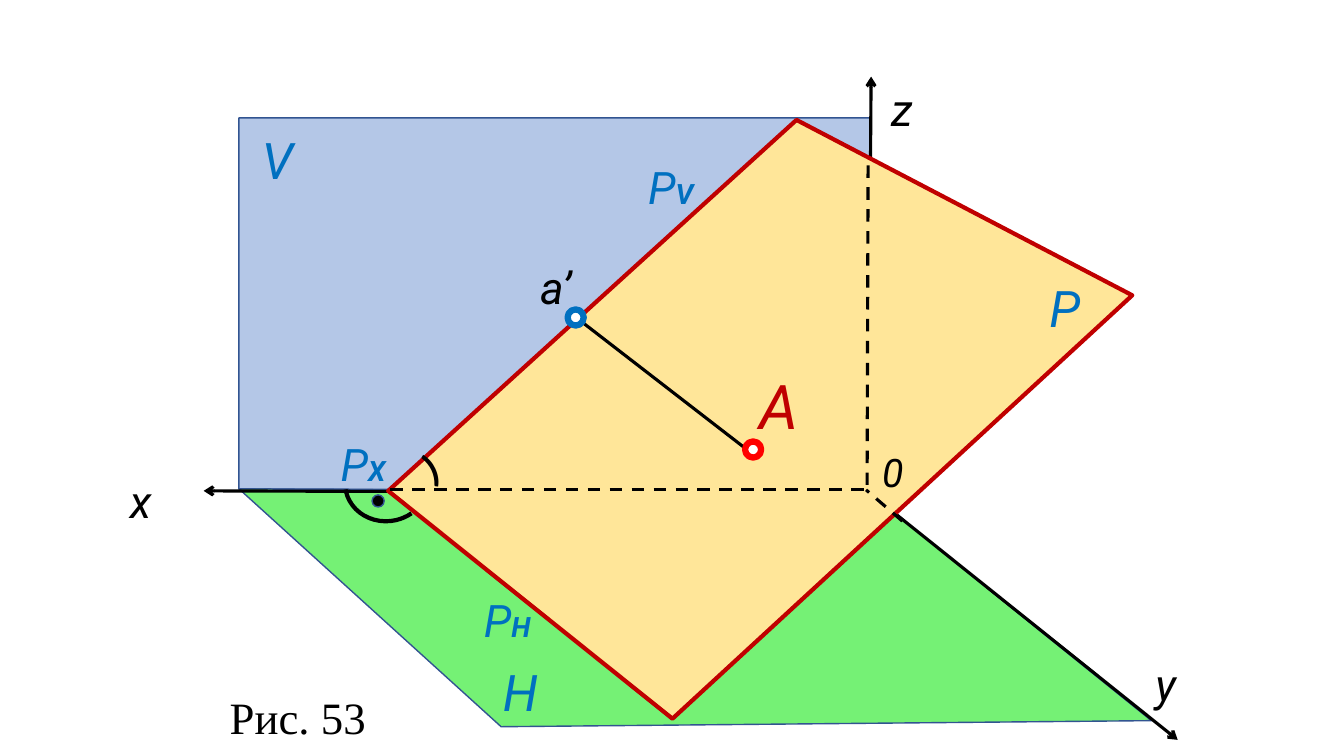
from pptx import Presentation
from pptx.dml.color import RGBColor
from pptx.enum import dml, shapes, text
from pptx.oxml import ns
from pptx.util import Inches, Pt
from lxml import etree

BLACK, BLUE, RED, EDGE = "000000", "0070C0", "C00000", "325491"
ROBOTO = "Roboto"

PLANE_V = ([(2.37, 1.17), (8.63, 1.17), (8.6, 4.87), (2.37, 4.85)], "B4C7E7", EDGE, 1)
PLANE_H = ([(2.37, 4.85), (8.62, 4.89), (11.42, 7.15), (4.97, 7.21)], "75F175", EDGE, 1)
PLANE_P = ([(7.9, 1.19), (11.23, 2.93), (6.67, 7.13), (3.85, 4.87)], "FFE699", RED, 3)

AXES = [
    ((11.68, 7.34), (8.61, 4.88)),
    ((2.02, 4.87), (8.61, 4.89)),
    ((8.64, 0.76), (8.61, 4.88)),
]
HIDDEN_AXES = [
    ((3.87, 4.86), (8.61, 4.86)),
    ((8.95, 5.17), (8.59, 4.86)),
    ((8.61, 1.64), (8.6, 4.81)),
]
PROJECTOR = ((5.74, 3.17), (7.46, 4.5))

POINTS = [
    (5.63, 3.07, 0.16, "FFFFFF", BLUE, 4.5),
    (7.39, 4.38, 0.16, "FFFFFF", "FF0000", 4.5),
    (3.69, 4.91, 0.12, BLACK, EDGE, 1),
]

LABELS = [
    ("x", 1.19, 4.65, 0.41, 0.64, 32, BLACK),
    ("y", 11.36, 6.47, 0.41, 0.64, 32, BLACK),
    ("z", 8.74, 0.76, 0.41, 0.64, 32, BLACK),
    ("0", 8.65, 4.4, 0.89, 0.57, 28, BLACK),
    ("V", 2.5, 1.23, 0.89, 0.71, 36, BLUE),
    ("H", 4.89, 6.51, 0.89, 0.71, 36, BLUE),
    ("P", 10.31, 2.7, 0.89, 0.71, 36, BLUE),
    ("A", 7.43, 3.6, 0.48, 0.84, 44, RED),
    ("a’", 5.26, 2.53, 0.6, 0.64, 32, BLACK),
]
TRACES = [("H", 4.7, 5.83), ("V", 6.33, 1.54), ("X", 3.28, 4.28)]


def color(value):
    return RGBColor.from_string(value)


def style(sp, fill, line, width):
    sp.shadow.inherit = False
    if fill:
        sp.fill.solid()
        sp.fill.fore_color.rgb = color(fill)
    else:
        sp.fill.background()
    sp.line.color.rgb = color(line)
    sp.line.width = Pt(width)


def add_plane(corners, fill, line, width):
    points = [(Inches(x), Inches(y)) for x, y in corners]
    builder = s.shapes.build_freeform(*points[0])
    builder.add_line_segments(points[1:], close=True)
    style(builder.convert_to_shape(), fill, line, width)


def add_line(start, end, arrow=False, dashed=False):
    ends = [Inches(v) for v in start + end]
    c = s.shapes.add_connector(shapes.MSO_CONNECTOR.STRAIGHT, *ends)
    c.line.color.rgb = color(BLACK)
    c.line.width = Pt(2.25)
    if dashed:
        c.line.dash_style = dml.MSO_LINE.DASH
    if arrow:
        etree.SubElement(c.line._get_or_add_ln(), ns.qn("a:headEnd"), type="arrow")
    etree.SubElement(c._element.spPr, ns.qn("a:effectLst"))


def add_shape(kind, x, y, w, h, fill, line, width):
    sp = s.shapes.add_shape(kind, Inches(x), Inches(y), Inches(w), Inches(h))
    style(sp, fill, line, width)
    return sp


def add_label(words, x, y, w, h, size, ink, name=ROBOTO, italic=True, wrap=True):
    sp = s.shapes.add_textbox(Inches(x), Inches(y), Inches(w), Inches(h))
    tf = sp.text_frame
    tf.word_wrap = wrap
    tf.auto_size = text.MSO_AUTO_SIZE.SHAPE_TO_FIT_TEXT
    tf.text = words
    format_run(tf.paragraphs[0].runs[0], size, ink, name, italic)
    return sp


def format_run(r, size, ink, name=ROBOTO, italic=True, bold=False):
    r.font.size = Pt(size)
    r.font.name = name
    r.font.italic = italic
    r.font.bold = bold
    r.font.color.rgb = color(ink)


prs = Presentation()
prs.slide_width, prs.slide_height = Inches(13.33), Inches(7.5)
s = prs.slides.add_slide(prs.slide_layouts[6])

add_plane(*PLANE_V)
add_plane(*PLANE_H)
for start, end in AXES:
    add_line(start, end, arrow=True)
add_plane(*PLANE_P)
for start, end in HIDDEN_AXES:
    add_line(start, end, dashed=True)
add_line(*PROJECTOR)

for x, y, size, fill, line, width in POINTS:
    add_shape(shapes.MSO_SHAPE.OVAL, x, y, size, size, fill, line, width)

arc = add_shape(shapes.MSO_SHAPE.ARC, 3.42, 4.39, 0.84, 0.78, None, BLACK, 3)
arc.adjustments[0], arc.adjustments[1] = 147.22, 1.54
arc.rotation = 167

for label in LABELS:
    add_label(*label)
for index, x, y in TRACES:
    trace = add_label("P", x, y, 0.89, 0.64, 32, BLUE)
    r = trace.text_frame.paragraphs[0].add_run()
    r.text = index
    format_run(r, 20, BLUE, bold=True)

angle = add_label("(", 4.14, 4.42, 0.32, 0.57, 28, BLACK, "Calibri", False, False)
angle.text_frame.paragraphs[0].runs[0].font.bold = True
angle.rotation = 154.8
add_label("Рис. 53", 2.18, 6.79, 1.56, 0.64, 32, BLACK, "Times New Roman", False, False)

prs.save("out.pptx")
